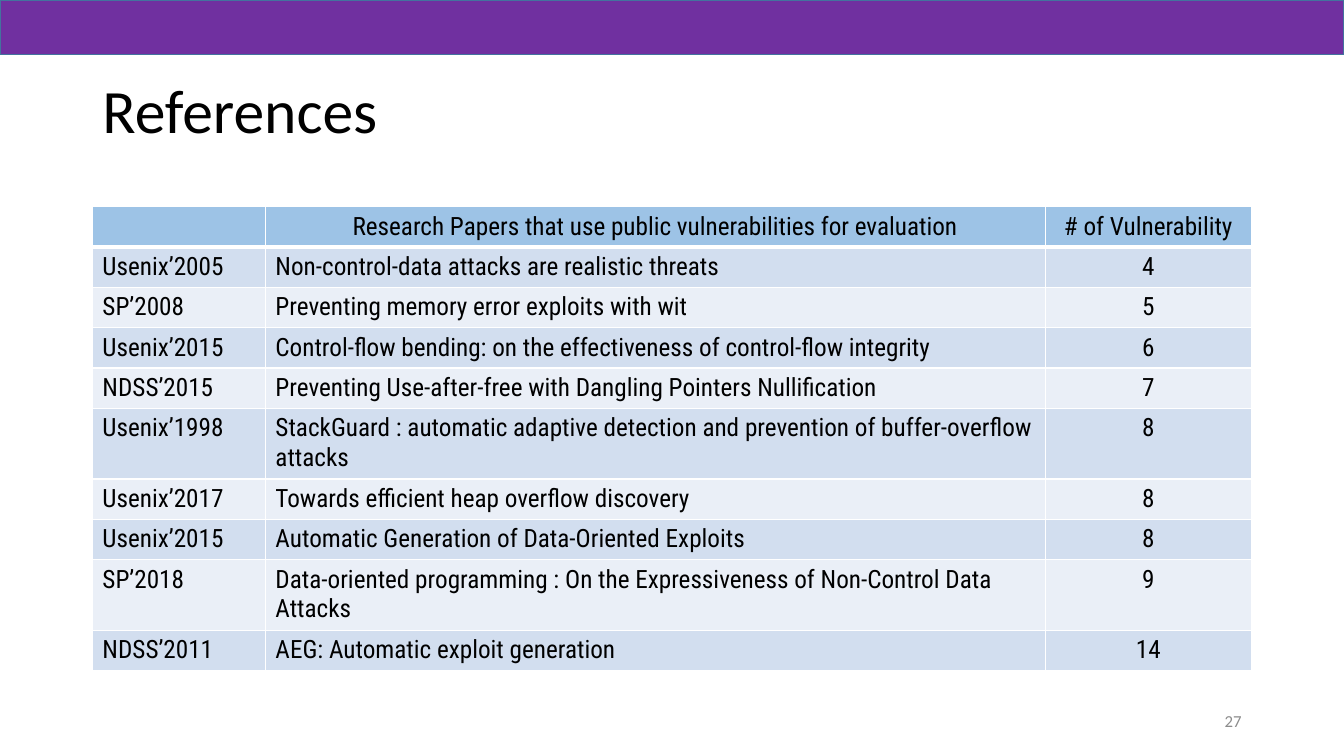
from lxml.etree import SubElement
from pptx import Presentation
from pptx.dml.color import RGBColor
from pptx.enum.shapes import MSO_SHAPE
from pptx.enum.text import MSO_ANCHOR, PP_ALIGN
from pptx.oxml.ns import qn
from pptx.util import Pt

TITLE = "References"
PAGE_NUMBER = "27"
HEADER = ("", "Research Papers that use public vulnerabilities for evaluation", "# of Vulnerability")
PAPERS = [
    ("Usenix’2005", "Non-control-data attacks are realistic threats", "4"),
    ("SP’2008", "Preventing memory error exploits with wit", "5"),
    ("Usenix’2015", "Control-flow bending: on the effectiveness of control-flow integrity", "6"),
    ("NDSS’2015", "Preventing Use-after-free with Dangling Pointers Nullification", "7"),
    ("Usenix’1998", "StackGuard : automatic adaptive detection and prevention of buffer-overflow attacks", "8"),
    ("Usenix’2017", "Towards efficient heap overflow discovery", "8"),
    ("Usenix’2015", "Automatic Generation of Data-Oriented Exploits", "8"),
    ("SP’2018", "Data-oriented programming : On the Expressiveness of Non-Control Data Attacks", "9"),
    ("NDSS’2011", "AEG: Automatic exploit generation", "14"),
]

BLACK = RGBColor(0x00, 0x00, 0x00)
WHITE = RGBColor(0xFF, 0xFF, 0xFF)
GRAY = RGBColor(0x8C, 0x8C, 0x8C)
PURPLE = RGBColor(0x70, 0x30, 0xA0)
BANNER_EDGE = RGBColor(0x43, 0x73, 0x9E)
HEADER_BLUE = RGBColor(0x9D, 0xC3, 0xE6)
BANDS = (RGBColor(0xD2, 0xDE, 0xEF), RGBColor(0xEA, 0xEF, 0xF7))

SLIDE_WIDTH, SLIDE_HEIGHT = 960, 540
MARGIN = 66
CONTENT_WIDTH = SLIDE_WIDTH - 2 * MARGIN
TABLE_TOP, ROW_HEIGHT = 147.6, 28.8
COLUMN_WIDTHS = (123.6, 557, 147.4)
NUMBER_WIDTH = 216


def format_text(text_frame, font_name, size, color, alignment):
    for paragraph in text_frame.paragraphs:
        paragraph.alignment = alignment
        for run in paragraph.runs:
            run.font.name = font_name
            run.font.size = Pt(size)
            run.font.color.rgb = color


def set_borders(cell, top, bottom):
    """Add white borders; call before the fill, which must follow them in the XML."""
    properties = cell._tc.get_or_add_tcPr()
    for side, width in (("L", 1), ("R", 1), ("T", top), ("B", bottom)):
        line = SubElement(properties, qn(f"a:ln{side}"), w=str(Pt(width)))
        fill = SubElement(line, qn("a:solidFill"))
        SubElement(fill, qn("a:srgbClr"), val=str(WHITE))


def add_papers_table(slide):
    rows = [HEADER, *PAPERS]
    table = slide.shapes.add_table(
        len(rows), len(HEADER), Pt(MARGIN), Pt(TABLE_TOP),
        Pt(CONTENT_WIDTH), Pt(ROW_HEIGHT * len(rows))).table
    for column, width in zip(table.columns, COLUMN_WIDTHS):
        column.width = Pt(width)
    for row_index, texts in enumerate(rows):
        table.rows[row_index].height = Pt(ROW_HEIGHT)
        is_header = row_index == 0
        for column_index, text in enumerate(texts):
            cell = table.cell(row_index, column_index)
            set_borders(cell, top=3 if row_index == 1 else 1, bottom=3 if is_header else 1)
            cell.fill.solid()
            cell.fill.fore_color.rgb = HEADER_BLUE if is_header else BANDS[(row_index - 1) % 2]
            cell.text_frame.text = text
            centered = is_header or column_index == 2
            format_text(cell.text_frame, "Roboto Condensed", 18, BLACK,
                        PP_ALIGN.CENTER if centered else PP_ALIGN.LEFT)
            for run in cell.text_frame.paragraphs[0].runs:
                run.font.bold = False


def main():
    presentation = Presentation()
    presentation.slide_width, presentation.slide_height = Pt(SLIDE_WIDTH), Pt(SLIDE_HEIGHT)
    slide = presentation.slides.add_slide(presentation.slide_layouts[5])

    title = slide.shapes.title
    title.left, title.top = Pt(MARGIN), Pt(28.8)
    title.width, title.height = Pt(CONTENT_WIDTH), Pt(104.4)
    title.text_frame.text = TITLE
    title.text_frame.vertical_anchor = MSO_ANCHOR.MIDDLE
    title.text_frame.paragraphs[0].line_spacing = 0.9
    format_text(title.text_frame, "Calibri", 44, BLACK, PP_ALIGN.LEFT)

    number = slide.shapes.add_textbox(
        Pt(SLIDE_WIDTH - MARGIN - NUMBER_WIDTH), Pt(500.5), Pt(NUMBER_WIDTH), Pt(28.8))
    number.text_frame.word_wrap = True
    number.text_frame.vertical_anchor = MSO_ANCHOR.MIDDLE
    number.text_frame.text = PAGE_NUMBER
    format_text(number.text_frame, "Calibri", 12, GRAY, PP_ALIGN.RIGHT)

    add_papers_table(slide)

    banner = slide.shapes.add_shape(MSO_SHAPE.RECTANGLE, 0, 0, Pt(SLIDE_WIDTH), Pt(39))
    banner.shadow.inherit = False
    banner.fill.solid()
    banner.fill.fore_color.rgb = PURPLE
    banner.line.color.rgb = BANNER_EDGE
    banner.line.width = Pt(1)

    presentation.save("out.pptx")


if __name__ == "__main__":
    main()
